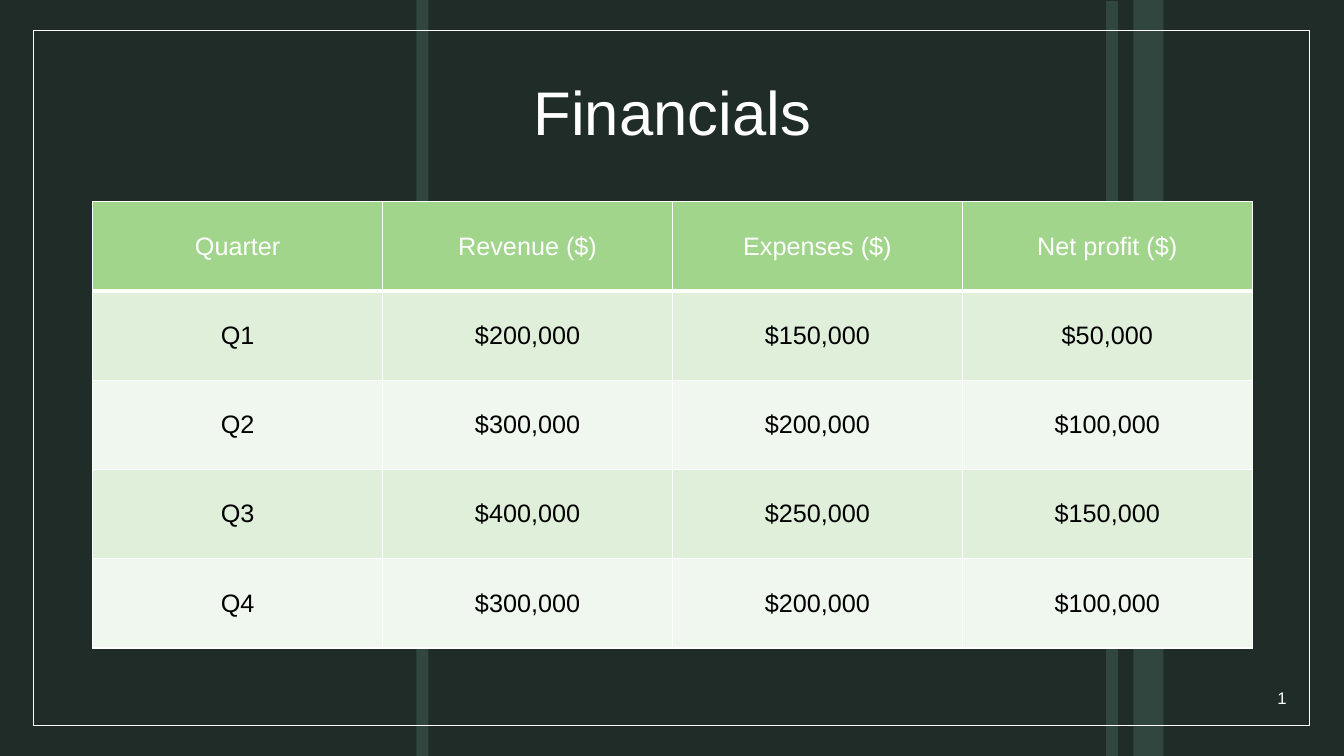
import pptx
import pptx.util
import pptx.oxml
import pptx.oxml.ns
from pptx.dml.color import RGBColor
from pptx.enum.shapes import MSO_SHAPE
from pptx.enum.text import MSO_ANCHOR, MSO_AUTO_SIZE, PP_ALIGN
from pptx.util import Inches

TITLE = "Financials"
ROWS = [
    ("Quarter", "Revenue ($)", "Expenses ($)", "Net profit ($)"),
    ("Q1", "$200,000", "$150,000", "$50,000"),
    ("Q2", "$300,000", "$200,000", "$100,000"),
    ("Q3", "$400,000", "$250,000", "$150,000"),
    ("Q4", "$300,000", "$200,000", "$100,000"),
]
STRIPES = [(10.97, 0.01, 0.12), (4.13, 0, 0.12), (11.24, 0, 0.3)]
FRAME = (0.33, 0.3, 12.66, 6.9)
TITLE_BOX = (0.42, 0.42, 12.5, 1.45)
TABLE_BOX = (0.92, 2, 11.5, 4.43)
NUMBER_BOX = (11.94, 6.72, 0.92, 0.4)
SLIDE_WIDTH, SLIDE_HEIGHT = 13.33, 7.5

FONT = "Arial"
BACKGROUND = RGBColor(0x1F, 0x2C, 0x28)
STRIPE = RGBColor(0x31, 0x46, 0x3F)
WHITE = RGBColor(0xFF, 0xFF, 0xFF)
BLACK = RGBColor(0, 0, 0)
HEADER = RGBColor(0xA1, 0xD5, 0x8B)
BANDS = [RGBColor(0xF0, 0xF7, 0xEE), RGBColor(0xE0, 0xEF, 0xDA)]


def inches(box):
    return [Inches(length) for length in box]


def add_rectangle(slide, box):
    shape = slide.shapes.add_shape(MSO_SHAPE.RECTANGLE, *inches(box))
    shape.shadow.inherit = False
    return shape


def format_paragraph(paragraph, size, color, alignment):
    paragraph.alignment = alignment
    paragraph.font.name = FONT
    paragraph.font.size = pptx.util.Pt(size)
    paragraph.font.bold = False
    paragraph.font.color.rgb = color


def add_borders(cell, bottom_width):
    properties = cell._tc.get_or_add_tcPr()
    widths = {"lnL": 1, "lnR": 1, "lnT": 1, "lnB": bottom_width}
    for index, (side, width) in enumerate(widths.items()):
        properties.insert(index, pptx.oxml.parse_xml(
            f'<a:{side} {pptx.oxml.ns.nsdecls("a")} w="{pptx.util.Pt(width)}">'
            f'<a:solidFill><a:srgbClr val="{WHITE}"/></a:solidFill></a:{side}>'))


def add_backdrop(slide):
    slide.background.fill.solid()
    slide.background.fill.fore_color.rgb = BACKGROUND
    for left, top, width in STRIPES:
        stripe = add_rectangle(slide, (left, top, width, SLIDE_HEIGHT - top))
        stripe.fill.solid()
        stripe.fill.fore_color.rgb = STRIPE
        stripe.line.fill.background()
    frame = add_rectangle(slide, FRAME)
    frame.fill.background()
    frame.line.color.rgb = WHITE
    frame.line.width = pptx.util.Pt(1)


def add_title(slide):
    title = slide.shapes.title
    title.left, title.top, title.width, title.height = inches(TITLE_BOX)
    title.text_frame.text = TITLE
    title.text_frame.auto_size = MSO_AUTO_SIZE.NONE
    title.text_frame.vertical_anchor = MSO_ANCHOR.MIDDLE
    paragraph = title.text_frame.paragraphs[0]
    format_paragraph(paragraph, 44, WHITE, PP_ALIGN.CENTER)
    paragraph.line_spacing = 0.9
    title.element.getparent().append(title.element)


def add_financials(slide):
    frame = slide.shapes.add_table(len(ROWS), len(ROWS[0]), *inches(TABLE_BOX))
    table = frame.table
    table.first_row = False
    table.horz_banding = False
    for row, values in enumerate(ROWS):
        for column, value in enumerate(values):
            cell = table.cell(row, column)
            cell.text = value
            cell.vertical_anchor = MSO_ANCHOR.MIDDLE
            cell.fill.solid()
            cell.fill.fore_color.rgb = BANDS[row % 2] if row else HEADER
            format_paragraph(cell.text_frame.paragraphs[0], 18,
                             BLACK if row else WHITE, PP_ALIGN.CENTER)
            add_borders(cell, 1 if row else 3)


def add_slide_number(slide):
    box = slide.shapes.add_textbox(*inches(NUMBER_BOX))
    box.text_frame.word_wrap = True
    box.text_frame.vertical_anchor = MSO_ANCHOR.MIDDLE
    paragraph = box.text_frame.paragraphs[0]
    format_paragraph(paragraph, 12, WHITE, PP_ALIGN.RIGHT)
    paragraph._p.append(pptx.oxml.parse_xml(
        f'<a:fld {pptx.oxml.ns.nsdecls("a")} type="slidenum" '
        'id="{B6F15528-21DE-4FAA-801E-634DDDAF4B2B}">'
        f'<a:rPr lang="en-US" sz="1200"><a:solidFill><a:srgbClr val="{WHITE}"/>'
        f'</a:solidFill><a:latin typeface="{FONT}"/></a:rPr><a:t>1</a:t></a:fld>'))


def main():
    presentation = pptx.Presentation()
    presentation.slide_width = Inches(SLIDE_WIDTH)
    presentation.slide_height = Inches(SLIDE_HEIGHT)
    slide = presentation.slides.add_slide(presentation.slide_layouts[5])
    add_backdrop(slide)
    add_title(slide)
    add_financials(slide)
    add_slide_number(slide)
    presentation.save("out.pptx")


if __name__ == "__main__":
    main()
